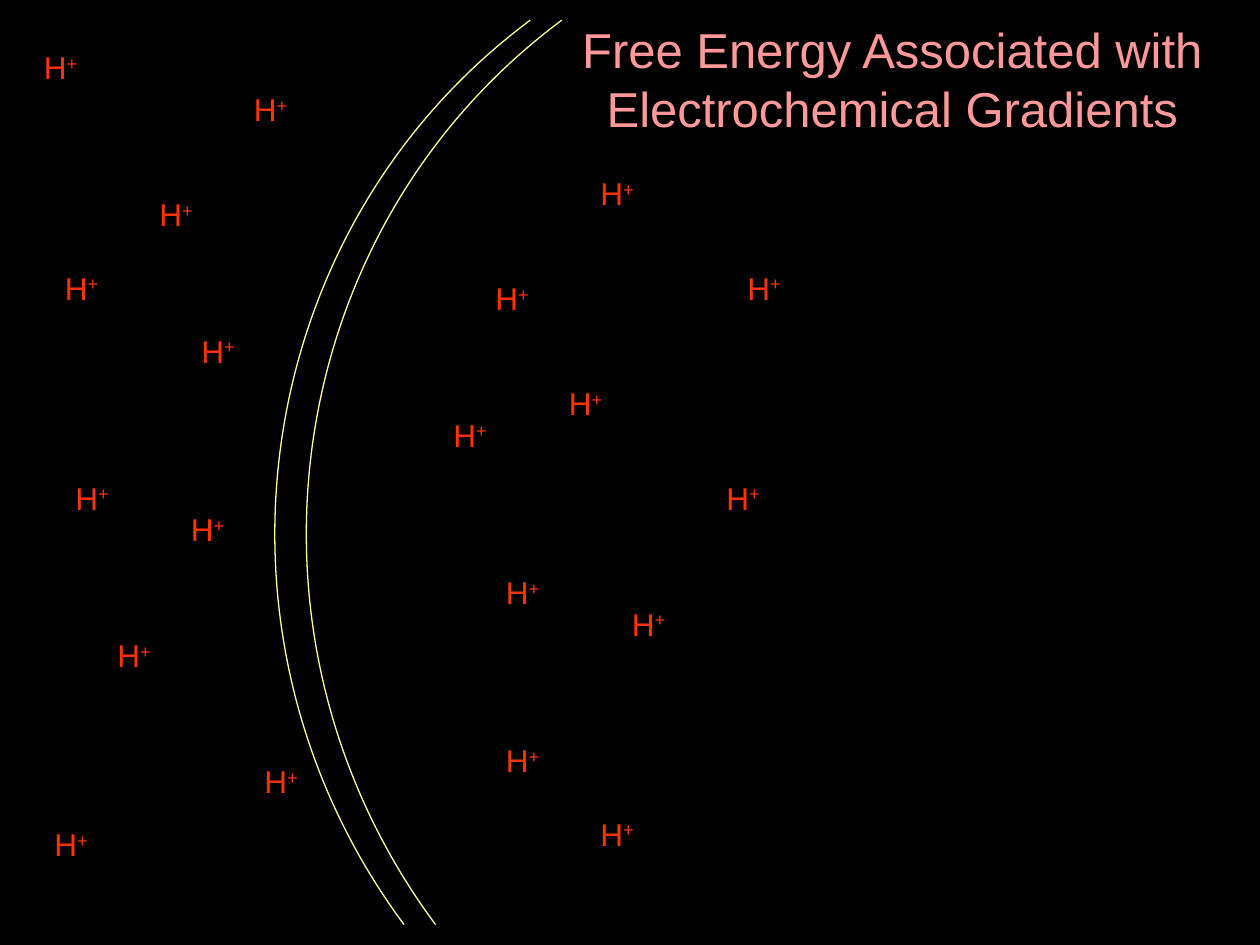
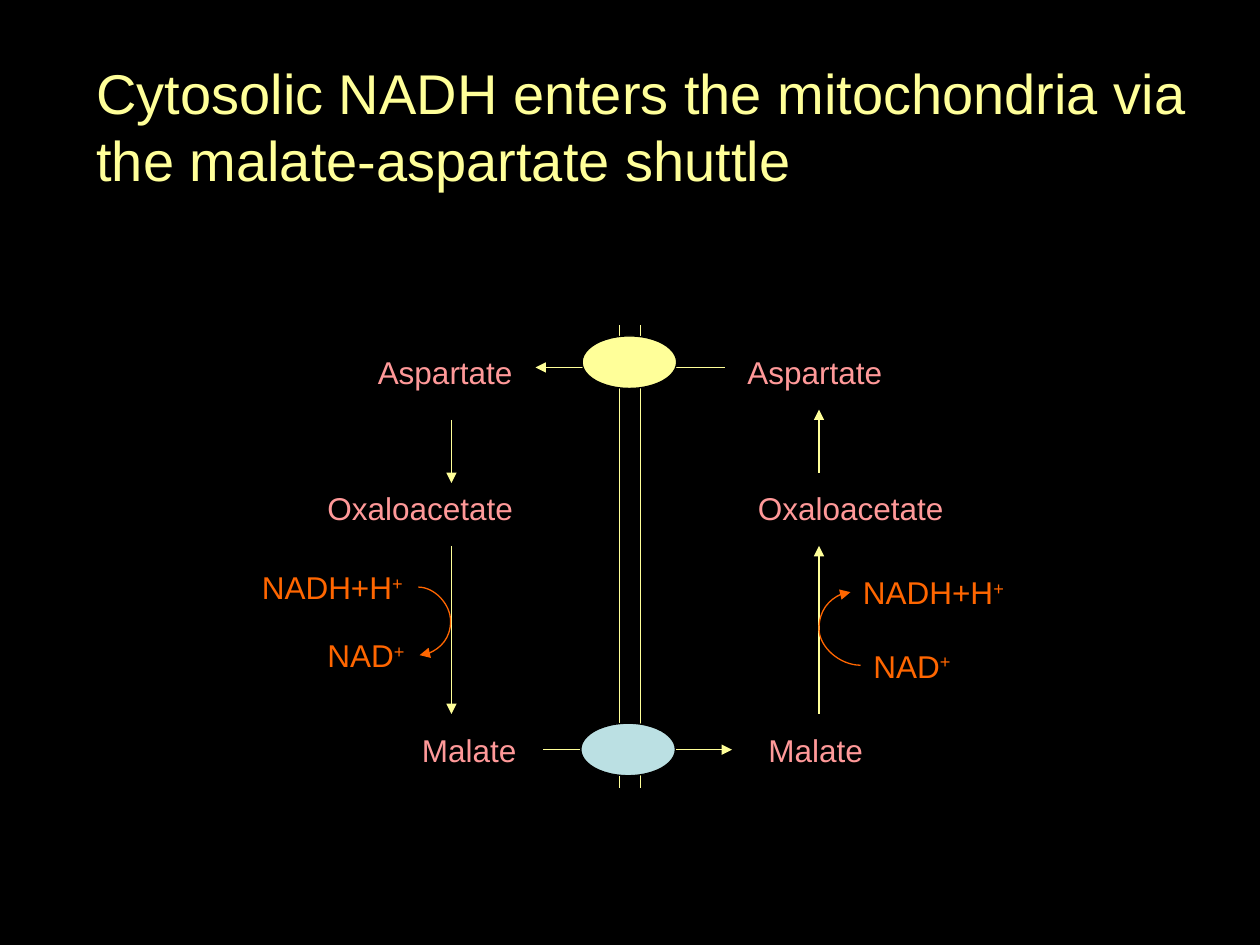
from typing import NamedTuple

from lxml import etree
from pptx import Presentation
from pptx.dml.color import RGBColor
from pptx.enum.shapes import MSO_CONNECTOR, MSO_SHAPE
from pptx.enum.text import MSO_ANCHOR, MSO_AUTO_SIZE, PP_ALIGN
from pptx.oxml.ns import qn
from pptx.util import Inches, Pt

FONT = "Arial"
BLACK = "000000"
YELLOW = "FFFF99"
PINK = "FF9999"
RED = "FF3300"
ORANGE = "FF6600"
PALE_BLUE = "BBE0E3"
LINE_WIDTH = Pt(0.75)
LABEL_SIZE = 18
LABEL_HEIGHT = 0.4
GRID_PER_INCH = 12


class Label(NamedTuple):
    text: str
    left: float
    top: float
    width: float
    color: str = PINK
    charge: str = ""


class Arrow(NamedTuple):
    start: tuple[float, float]
    end: tuple[float, float]
    color: str = YELLOW
    head: bool = True
    bulge: float | None = None  # x reached by the middle of a curved arrow


class Carrier(NamedTuple):
    left: float
    top: float
    color: str


IONS_OUTSIDE = [
    (0.25, 0.33), (1.92, 0.67), (1.17, 1.5), (0.42, 2.08), (1.5, 2.58), (0.5, 3.75),
    (1.42, 4), (0.83, 5), (2, 6), (0.33, 6.5),
]
IONS_INSIDE = [
    (4.67, 1.33), (5.83, 2.08), (3.83, 2.17), (4.42, 3), (3.5, 3.25), (5.67, 3.75),
    (3.92, 4.5), (4.92, 4.75), (3.92, 5.83), (4.67, 6.42),
]
MEMBRANE_LEFTS = (1.42, 1.17)
MEMBRANE_TOP, MEMBRANE_WIDTH, MEMBRANE_HEIGHT = 1.17, 5.08, 5.17
MEMBRANE_ROTATION = 323.4
QUARTER_ARC = 0.55  # reach of the control points of a quarter ellipse

METABOLITES = [
    Label("Aspartate", 2.9, 2.75, 1.27),
    Label("Oxaloacetate", 2.5, 3.83, 1.67),
    Label("Malate", 3.25, 5.75, 0.95),
    Label("Aspartate", 5.83, 2.75, 1.27),
    Label("Oxaloacetate", 5.92, 3.83, 1.67),
    Label("Malate", 6, 5.75, 0.95),
]
COENZYMES = [
    Label("NADH+H", 1.98, 4.46, 1.33, ORANGE, "+"),
    Label("NAD", 2.5, 5, 0.83, ORANGE, "+"),
    Label("NADH+H", 6.75, 4.5, 1.33, ORANGE, "+"),
    Label("NAD", 6.83, 5.08, 0.83, ORANGE, "+"),
]
MEMBRANE_LINES = [Arrow((x, 2.58), (x, 6.25), head=False) for x in (4.92, 5.08)]
REACTIONS = [
    Arrow((3.58, 3.33), (3.58, 3.83)),
    Arrow((3.58, 4.33), (3.58, 5.67)),
    Arrow((4.31, 5.95), (5.81, 5.95)),
    Arrow((6.5, 5.67), (6.5, 4.33)),
    Arrow((6.5, 3.75), (6.5, 3.25)),
    Arrow((5.75, 2.92), (4.25, 2.92)),
    Arrow((3.32, 4.66), (3.33, 5.2), ORANGE, bulge=3.58),
    Arrow((6.83, 5.28), (6.75, 4.7), ORANGE, bulge=6.5),
]
CARRIERS = [Carrier(4.62, 2.67, YELLOW), Carrier(4.61, 5.74, PALE_BLUE)]


def rgb(color: str) -> RGBColor:
    return RGBColor.from_string(color)


def length(value: float) -> int:
    """Convert inches, making a rounded twelfth of an inch exact."""
    snapped = round(value * GRID_PER_INCH) / GRID_PER_INCH
    return Inches(snapped if abs(snapped - value) < 0.005 else value)


def style_line(line, color: str) -> None:
    line.color.rgb = rgb(color)
    line.width = LINE_WIDTH


def add_box(page, left: float, top: float, width: float, height: float):
    return page.shapes.add_textbox(length(left), length(top), Inches(width), Inches(height))


def add_span(para, text: str, size: int, color: str):
    span = para.add_run()
    span.text = text
    span.font.name = FONT
    span.font.size = Pt(size)
    span.font.color.rgb = rgb(color)
    return span


def add_title(page, text: str, place: tuple[float, float, float, float], size: int,
              color: str, align: PP_ALIGN, anchor: MSO_ANCHOR) -> None:
    frame = add_box(page, *place).text_frame
    frame.word_wrap = True
    frame.vertical_anchor = anchor
    para = frame.paragraphs[0]
    para.alignment = align
    add_span(para, text, size, color)


def add_label(page, label: Label) -> None:
    """Write a one-line label, with its charge as a superscript."""
    frame = add_box(page, label.left, label.top, label.width, LABEL_HEIGHT).text_frame
    frame.word_wrap = False
    frame.auto_size = MSO_AUTO_SIZE.SHAPE_TO_FIT_TEXT
    para = frame.paragraphs[0]
    add_span(para, label.text, LABEL_SIZE, label.color)
    if label.charge:
        charge = add_span(para, label.charge, LABEL_SIZE, label.color)
        charge.font._element.set("baseline", "30000")


def add_arrow(page, arrow: Arrow) -> None:
    if arrow.bulge is None:
        kind, measure = MSO_CONNECTOR.STRAIGHT, length
    else:
        kind, measure = MSO_CONNECTOR.CURVE, Inches
    points = [measure(value) for value in (*arrow.start, *arrow.end)]
    connector = page.shapes.add_connector(kind, *points)
    style_line(connector.line, arrow.color)
    properties = connector._element.spPr
    if arrow.head:
        etree.SubElement(connector.line._get_or_add_ln(), qn("a:tailEnd"), type="triangle")
    etree.SubElement(properties, qn("a:effectLst"))
    if arrow.bulge is not None:
        ratio = (arrow.bulge - arrow.start[0]) / (arrow.end[0] - arrow.start[0])
        guides = properties.find(qn("a:prstGeom")).get_or_add_avLst()
        etree.SubElement(guides, qn("a:gd"), name="adj1", fmla=f"val {round(ratio * 100000)}")


def add_carrier(page, carrier: Carrier) -> None:
    oval = page.shapes.add_shape(MSO_SHAPE.OVAL, Inches(carrier.left), length(carrier.top),
                                 Inches(0.75), length(0.42))
    oval.shadow.inherit = False
    oval.fill.solid()
    oval.fill.fore_color.rgb = rgb(carrier.color)
    style_line(oval.line, BLACK)


def add_curved_membrane(page, left_edge: float) -> None:
    """Draw a quarter ellipse as one cubic curve, turned to face the right."""
    left, top = length(left_edge), length(MEMBRANE_TOP)
    width, height = length(MEMBRANE_WIDTH), length(MEMBRANE_HEIGHT)
    right, bottom = left + width, top + height
    builder = page.shapes.build_freeform(right, top)
    builder.add_line_segments([
        (right - round(QUARTER_ARC * width), top),
        (left, bottom - round(QUARTER_ARC * height)),
        (left, bottom),
    ], close=False)
    membrane = builder.convert_to_shape()
    segments = list(membrane._element.iter(qn("a:lnTo")))
    curve = etree.SubElement(segments[0].getparent(), qn("a:cubicBezTo"))
    for segment in segments:
        curve.append(segment[0])
        segment.getparent().remove(segment)
    membrane.rotation = MEMBRANE_ROTATION
    membrane.shadow.inherit = False
    membrane.fill.background()
    style_line(membrane.line, YELLOW)


def build_gradient_page(page) -> None:
    for left in MEMBRANE_LEFTS:
        add_curved_membrane(page, left)
    for left, top in IONS_OUTSIDE + IONS_INSIDE:
        add_label(page, Label("H", left, top, 0.48, RED, "+"))
    add_title(page, "Free Energy Associated with Electrochemical Gradients",
              (3.92, 0, 6.33, 1.25), 28, PINK, PP_ALIGN.CENTER, MSO_ANCHOR.MIDDLE)


def build_shuttle_page(page) -> None:
    add_title(page, "Cytosolic NADH enters the mitochondria via the malate-aspartate shuttle",
              (0.67, 0.42, 9.11, 1.17), 32, YELLOW, PP_ALIGN.LEFT, MSO_ANCHOR.TOP)
    for arrow in MEMBRANE_LINES + REACTIONS:
        add_arrow(page, arrow)
    for carrier in CARRIERS:
        add_carrier(page, carrier)
    for label in METABOLITES + COENZYMES:
        add_label(page, label)


def main() -> None:
    deck = Presentation()
    deck.slide_width, deck.slide_height = Inches(10), Inches(7.5)
    backdrop = deck.slide_master.background.fill
    backdrop.solid()
    backdrop.fore_color.rgb = rgb(BLACK)
    blank = deck.slide_layouts[6]
    for build_page in (build_gradient_page, build_shuttle_page):
        build_page(deck.slides.add_slide(blank))
    deck.save("out.pptx")


if __name__ == "__main__":
    main()
